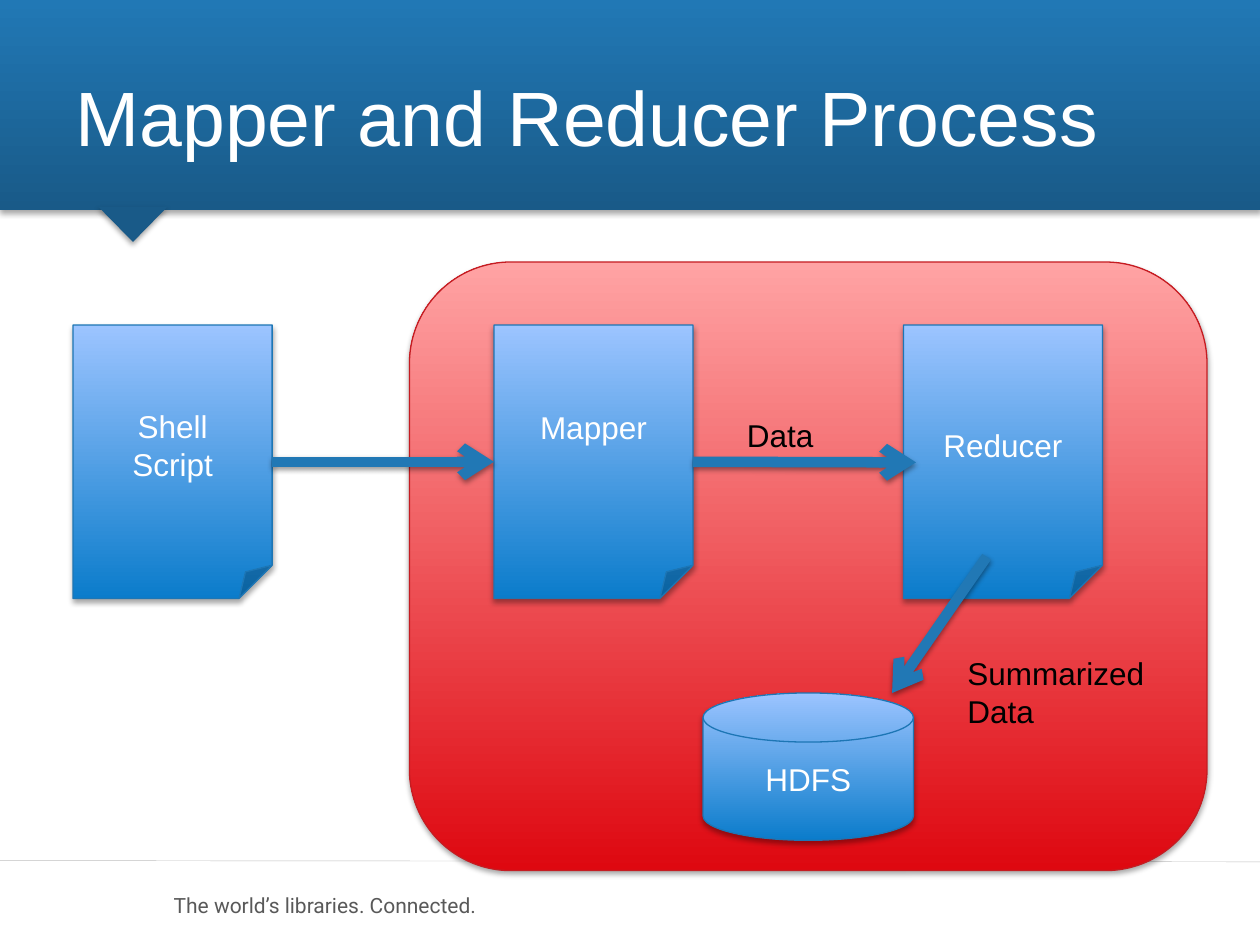
from lxml.etree import SubElement
from pptx import Presentation
from pptx.dml.color import RGBColor
from pptx.enum.shapes import MSO_CONNECTOR, MSO_SHAPE
from pptx.enum.text import MSO_ANCHOR, PP_ALIGN
from pptx.oxml.ns import qn
from pptx.util import Inches, Pt

WHITE = RGBColor(0xFF, 0xFF, 0xFF)
BLACK = RGBColor(0x00, 0x00, 0x00)
GREY = RGBColor(0x59, 0x59, 0x59)
RULE_GREY = RGBColor(0xBF, 0xBF, 0xBF)
NAVY = RGBColor(0x19, 0x5A, 0x88)
BLUE = RGBColor(0x21, 0x78, 0xB5)
EDGE_BLUE = RGBColor(0x1D, 0x76, 0xB5)
EDGE_RED = RGBColor(0xC5, 0x1C, 0x22)
# Gradients run from bottom to top
HEADER_FILL = (NAVY, BLUE)
STEP_FILL = (RGBColor(0x0B, 0x7C, 0xCB), RGBColor(0x9C, 0xC4, 0xFF))
CLUSTER_FILL = (RGBColor(0xDE, 0x08, 0x10), RGBColor(0xFF, 0xA3, 0xA4))

# Content: lines of text, left, top, width, height
PAGE, DISK = MSO_SHAPE.FOLDED_CORNER, MSO_SHAPE.FLOWCHART_MAGNETIC_DISK
STEPS = {
    "shell": (PAGE, ["Shell", "Script"], (0.58, 2.58, 1.58, 2.17)),
    "mapper": (PAGE, ["Mapper"], (3.92, 2.58, 1.58, 2.17)),
    "reducer": (PAGE, ["Reducer"], (7.17, 2.58, 1.58, 2.17)),
    "store": (DISK, ["HDFS"], (5.58, 5.5, 1.67, 1.17)),
}
FLOWS = [  # start, end, step joined at its right, step joined at its left
    ((2.17, 3.67), (3.92, 3.67), "shell", "mapper"),
    ((5.5, 3.67), (7.27, 3.67), "mapper", None),
    ((7.83, 4.42), (7.08, 5.5), None, None),
]
FLOW_LABELS = [
    (["Data"], (5.83, 3.25, 0.74, 0.4)),
    (["Summarized", "Data"], (7.58, 5.14, 1.62, 0.71)),
]
LABEL_FORMAT = {"size": Pt(18), "name": "Arial"}

prs = Presentation()
prs.slide_width, prs.slide_height = Inches(10), Inches(7.5)
slide = prs.slides.add_slide(prs.slide_layouts[6])


def add_shadow(part, alpha=35, distance=1.8):
    properties = part._element.spPr
    effects = properties.find(qn("a:effectLst"))
    if effects is None:
        effects = SubElement(properties, qn("a:effectLst"))
    shadow = SubElement(effects, qn("a:outerShdw"), blurRad=str(Pt(3.1)),
                        dist=str(Pt(distance)), dir="5400000", rotWithShape="0")
    color = SubElement(shadow, qn("a:srgbClr"), val="000000")
    SubElement(color, qn("a:alpha"), val=str(alpha * 1000))


def add_panel(kind, box, fill, edge=None):
    panel = slide.shapes.add_shape(kind, *map(Inches, box))
    if isinstance(fill, RGBColor):
        panel.fill.solid()
        panel.fill.fore_color.rgb = fill
    else:
        panel.fill.gradient()
        panel.fill.gradient_angle = 90
        for position, (stop, color) in enumerate(zip(panel.fill.gradient_stops, fill)):
            stop.position = position
            stop.color.rgb = color
    if edge is None:
        panel.line.fill.background()
    else:
        panel.line.color.rgb = edge
        panel.line.width = Pt(0.75)
    panel.shadow.inherit = False
    add_shadow(panel)
    return panel


def write(frame, lines, color, font, align, anchor, wrap):
    frame.word_wrap = wrap
    frame.vertical_anchor = anchor
    for number, line in enumerate(lines):
        paragraph = frame.add_paragraph() if number else frame.paragraphs[0]
        paragraph.text = line
        paragraph.alignment = align
        paragraph.font.color.rgb = color
        for attribute, value in font.items():
            setattr(paragraph.font, attribute, value)


def add_label(lines, box, color, font, anchor=MSO_ANCHOR.TOP, wrap=False):
    label = slide.shapes.add_textbox(*map(Inches, box))
    write(label.text_frame, lines, color, font, PP_ALIGN.LEFT, anchor, wrap)


def add_line(start, end, color, width):
    line = slide.shapes.add_connector(MSO_CONNECTOR.STRAIGHT, *map(Inches, start + end))
    line.line.color.rgb = color
    line.line.width = Pt(width)
    SubElement(line._element.spPr, qn("a:effectLst"))
    return line


# Footer
add_line((0, 6.83), (10, 6.84), RULE_GREY, 0.25)
add_label(["The world’s libraries. Connected."], (1.28, 7.03, 2.81, 0.3), GREY,
          {"size": Pt(12), "name": "Roboto"}, MSO_ANCHOR.MIDDLE, True)

# Header band with its pointer
add_panel(MSO_SHAPE.RECTANGLE, (0, 0, 10, 1.67), HEADER_FILL)
pointer = add_panel(MSO_SHAPE.ISOSCELES_TRIANGLE, (0.78, 1.64, 0.55, 0.28), NAVY)
pointer.rotation = 180

# Cluster and title
add_panel(MSO_SHAPE.ROUNDED_RECTANGLE, (3.25, 2.08, 6.33, 4.83), CLUSTER_FILL, EDGE_RED)
add_label(["Mapper and Reducer Process"], (0.5, 0.42, 9, 1), WHITE,
          {"size": Pt(44), "name": "Arial"}, MSO_ANCHOR.MIDDLE)

# Process steps
steps = {}
for key, (kind, lines, box) in STEPS.items():
    steps[key] = add_panel(kind, box, STEP_FILL, EDGE_BLUE)
    write(steps[key].text_frame, lines, WHITE, LABEL_FORMAT,
          PP_ALIGN.CENTER, MSO_ANCHOR.MIDDLE, True)
# The mapper label sits level with the first line of the shell script
steps["mapper"].text_frame.margin_bottom = Inches(0.34)

# Flow arrows
for start, end, source, target in FLOWS:
    arrow = add_line(start, end, BLUE, 6)
    if source:
        arrow.begin_connect(steps[source], 3)
    if target:
        arrow.end_connect(steps[target], 1)
    SubElement(arrow.line._get_or_add_ln(), qn("a:tailEnd"), type="arrow")
    add_shadow(arrow, alpha=38, distance=1.6)

for lines, box in FLOW_LABELS:
    add_label(lines, box, BLACK, LABEL_FORMAT)

prs.save("out.pptx")
